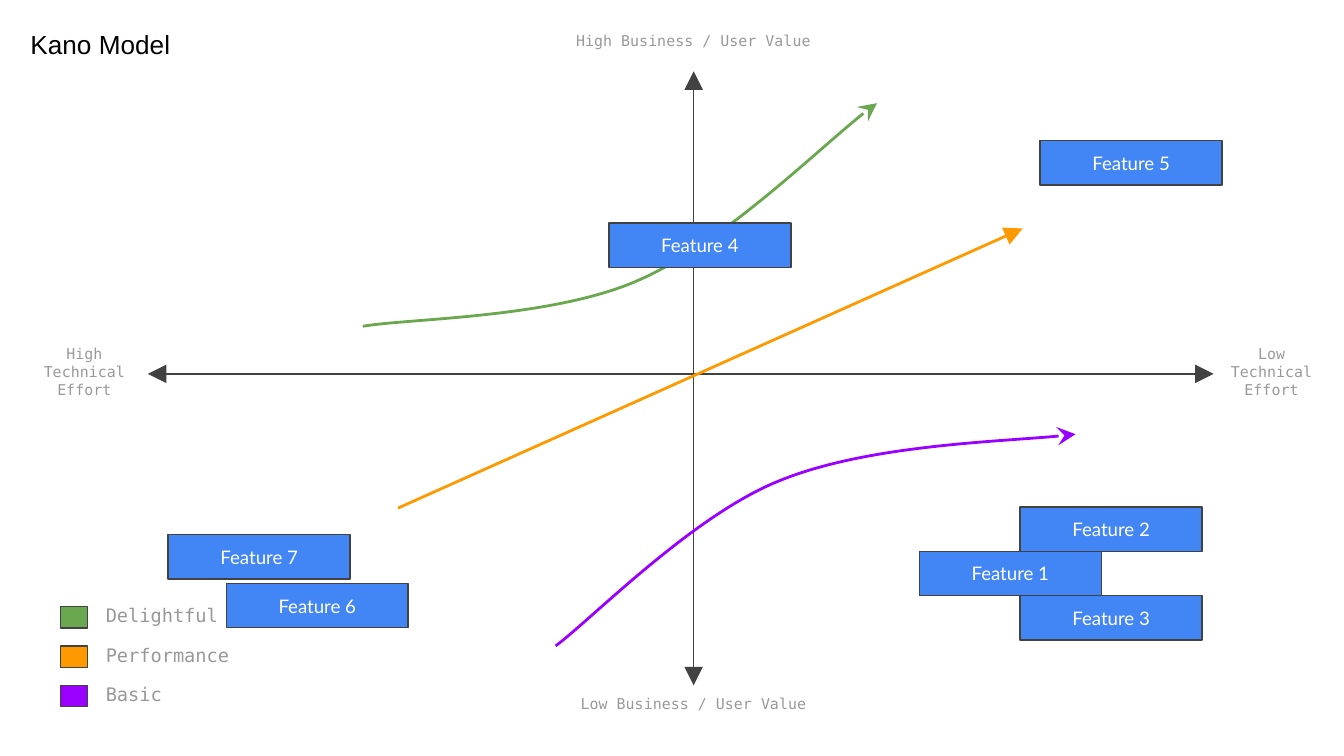
from lxml.etree import SubElement
from pptx import Presentation
from pptx.dml.color import RGBColor
from pptx.enum.shapes import MSO_CONNECTOR, MSO_SHAPE
from pptx.enum.text import MSO_ANCHOR, PP_ALIGN
from pptx.oxml.ns import qn
from pptx.util import Pt

COLORS = {
    "axis": "424242",
    "label": "999999",
    "feature": "4285F4",
    "white": "FFFFFF",
    "black": "000000",
    "Delightful": "6AA84F",
    "Performance": "FF9900",
    "Basic": "9900FF",
}
MONO = "DejaVu Sans Mono"
FEATURE_SIZE = (97.5, 23.75)
FEATURES = [
    ("Feature 4", 326.2, 119.5),
    ("Feature 5", 557.2, 75.4),
    ("Feature 1", 492.5, 295.4),
    ("Feature 2", 546.5, 271.7),
    ("Feature 3", 546.5, 319.1),
    ("Feature 6", 121.2, 312.6),
    ("Feature 7", 90.1, 286.5),
]


def color(name):
    return RGBColor.from_string(COLORS[name])


def write_text(shape, text, size=8, font=MONO, fill="label",
               align=PP_ALIGN.LEFT, anchor=MSO_ANCHOR.TOP):
    frame = shape.text_frame
    frame.word_wrap = True
    frame.vertical_anchor = anchor
    frame.margin_left = frame.margin_right = Pt(7.2)
    frame.margin_top = frame.margin_bottom = Pt(7.2)
    paragraph = frame.paragraphs[0]
    paragraph.alignment = align
    run = paragraph.add_run()
    run.text = text
    run.font.size = Pt(size)
    run.font.name = font
    run.font.color.rgb = color(fill)


def add_label(slide, box, text, **text_format):
    write_text(slide.shapes.add_textbox(*map(Pt, box)), text, **text_format)


def add_rectangle(slide, box, fill):
    shape = slide.shapes.add_shape(MSO_SHAPE.RECTANGLE, *map(Pt, box))
    shape.shadow.inherit = False
    shape.fill.solid()
    shape.fill.fore_color.rgb = color(fill)
    shape.line.color.rgb = color("axis")
    shape.line.width = Pt(0.75)
    return shape


def style_line(shape, fill, width, **ends):
    shape.line.color.rgb = color(fill)
    shape.line.width = Pt(width)
    line = shape.line._get_or_add_ln()
    for end, kind in ends.items():
        SubElement(line, qn(f"a:{end}"), type=kind, w="lg", len="lg")


def add_arrow(slide, start, finish, fill, width, **ends):
    connector = slide.shapes.add_connector(
        MSO_CONNECTOR.STRAIGHT, *map(Pt, start + finish))
    style_line(connector, fill, width, **ends)
    SubElement(connector._element.spPr, qn("a:effectLst"))


def add_curve(slide, points, fill):
    builder = slide.shapes.build_freeform(*map(Pt, points[0]))
    builder.add_line_segments(
        [(Pt(x), Pt(y)) for x, y in points[1:]], close=False)
    shape = builder.convert_to_shape()
    shape.shadow.inherit = False
    shape.fill.background()
    segments = list(shape._element.iter(qn("a:lnTo")))
    for first in range(0, len(segments), 3):
        bezier = segments[first]
        bezier.tag = qn("a:cubicBezTo")
        for segment in segments[first + 1:first + 3]:
            bezier.append(segment[0])
            segment.getparent().remove(segment)
    style_line(shape, fill, 1.5, tailEnd="stealth")


def draw_axes(slide, box):
    left, top, width, height = box
    center_x, center_y = left + 292.4, top + 162.1
    ends = {"headEnd": "triangle", "tailEnd": "triangle"}
    add_arrow(slide, (center_x, top), (center_x, top + height), "axis", 0.75, **ends)
    add_arrow(slide, (left + width, center_y), (left, center_y), "axis", 0.75, **ends)
    for text, label_top in [("High Business / User Value", top - 26),
                            ("Low Business / User Value", top + height)]:
        add_label(slide, (center_x - 70.5, label_top, 141, 26), text,
                  align=PP_ALIGN.CENTER)
    for text, label_left, label_width in [
            ("High Technical Effort", left - 71, 74),
            ("Low Technical Effort", left + width, 62)]:
        add_label(slide, (label_left, center_y - 14.2, label_width, 26), text,
                  align=PP_ALIGN.CENTER, anchor=MSO_ANCHOR.MIDDLE)


def draw_trends(slide, box):
    left, top, _, _ = box

    def place(points):
        return [(left + x, top + y) for x, y in points]

    add_curve(slide, place([
        (115.2, 136.6), (139.7, 132.4), (216, 132.4), (262.1, 112.3),
        (307.4, 92.9), (368.6, 32.4), (390.6, 17.1)]), "Delightful")
    add_curve(slide, place([
        (218.5, 307.8), (238.3, 293), (291.6, 238.3), (337.7, 219.6),
        (384.5, 200.2), (470.2, 198), (497, 194.4)]), "Basic")
    start, finish = place([(134.1, 234), (468.7, 84.2)])
    add_arrow(slide, start, finish, "Performance", 1.5, tailEnd="triangle")


def draw_legend(slide, box):
    left, top, width, height = box
    pitch = height / 3
    for row, name in enumerate(["Delightful", "Performance", "Basic"]):
        row_top = top + row * pitch
        add_rectangle(slide, (left, row_top + 7.3, 14.6, 11.6), name)
        add_label(slide, (left + 17.2, row_top, width - 17.2, 26), name, size=10)


def draw_feature(slide, box, name):
    write_text(add_rectangle(slide, box, "feature"), name, size=10, font="Lato",
               fill="white", align=PP_ALIGN.CENTER, anchor=MSO_ANCHOR.MIDDLE)


def main():
    presentation = Presentation()
    presentation.slide_width = Pt(720)
    presentation.slide_height = Pt(405)
    slide = presentation.slides.add_slide(presentation.slide_layouts[6])
    plot = (79.2, 38.2, 571, 329)
    draw_axes(slide, plot)
    draw_trends(slide, plot)
    draw_legend(slide, (32.4, 317.6, 158, 63.3))
    for name, left, top in FEATURES:
        draw_feature(slide, (left, top, *FEATURE_SIZE), name)
    add_label(slide, (9.2, 7.8, 112, 22), "Kano Model", size=14, font="Arial",
              fill="black")
    presentation.save("out.pptx")


if __name__ == "__main__":
    main()
